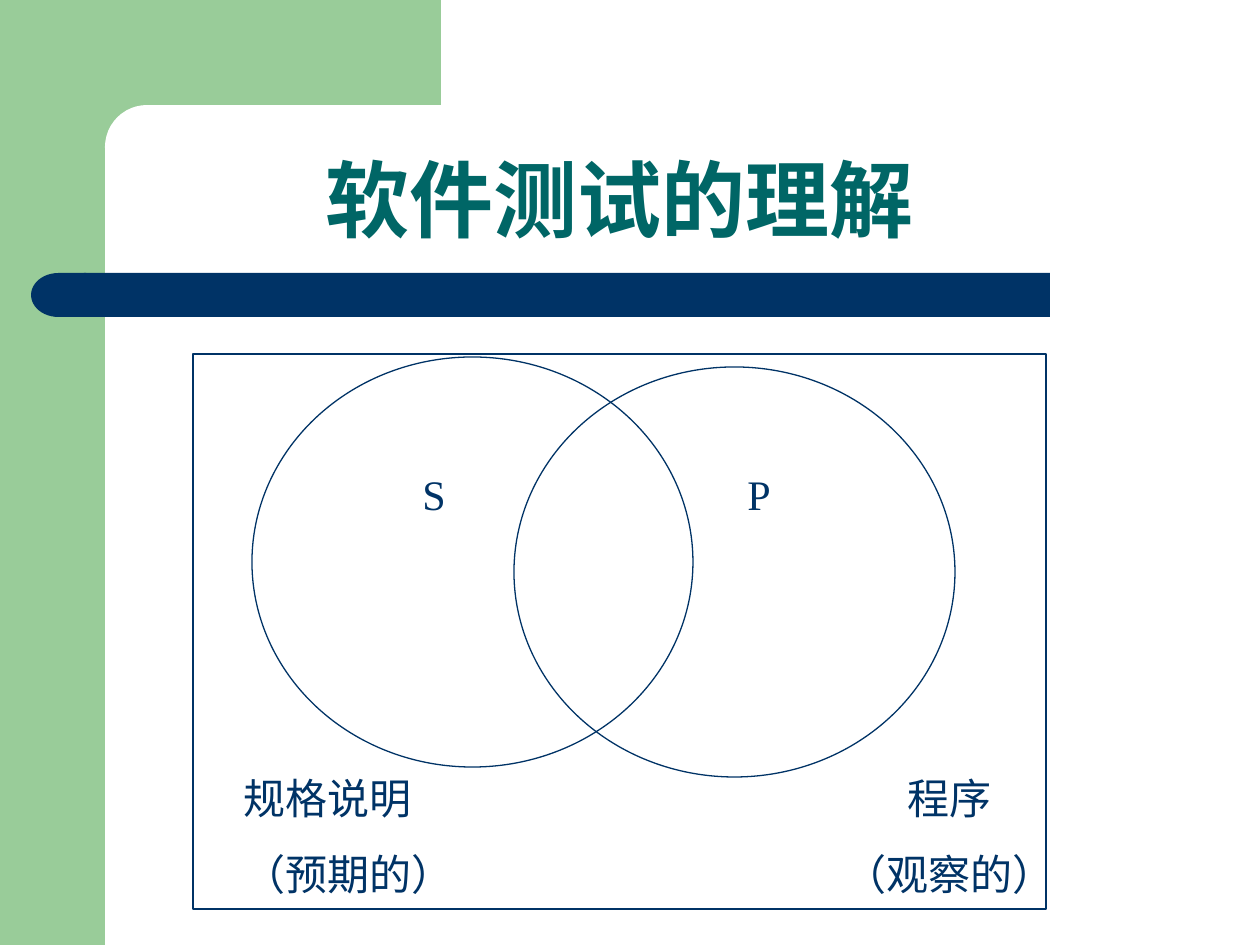
from pptx import Presentation
from pptx.dml.color import RGBColor
from pptx.enum.shapes import MSO_SHAPE
from pptx.enum.text import MSO_ANCHOR, MSO_AUTO_SIZE, PP_ALIGN
from pptx.util import Pt

PX = 914400 / 126
COLORS = {"green": "99CC99", "white": "FFFFFF", "navy": "003366", "teal": "006666"}

TITLE = ("软件测试的理解", (116, 147, 1008, 109))
BACKDROP = [
    (MSO_SHAPE.RECTANGLE, (0, 0, 105, 945), "green", None),
    (MSO_SHAPE.RECTANGLE, (95, 0, 346, 147), "green", None),
    (MSO_SHAPE.ROUNDED_RECTANGLE, (105, 105, 703, 84), "white", None),
    (MSO_SHAPE.RECTANGLE, (84, 273, 966, 44), "navy", None),
    (MSO_SHAPE.FLOWCHART_DELAY, (31, 273, 55, 44), "navy", None),
    (MSO_SHAPE.RECTANGLE, (193, 354, 853, 555), "white", "navy"),
]
CIRCLES = [
    (MSO_SHAPE.OVAL, (514, 367, 441, 410), None, "navy"),
    (MSO_SHAPE.OVAL, (252, 357, 441, 410), None, "navy"),
]
LABELS = [
    (["规格说明", "（预期的）"], (231, 766, 242, 140), PP_ALIGN.LEFT),
    (["程序", "（观察的）"], (829, 766, 242, 140), PP_ALIGN.CENTER),
    (["S"], (410, 462, 105, 63), PP_ALIGN.LEFT),
    (["P"], (735, 462, 105, 63), PP_ALIGN.LEFT),
]


def emu(lengths):
    return [round(length * PX) for length in lengths]


def color(name):
    return RGBColor.from_string(COLORS[name])


def add_outline(page, kind, place, fill, line):
    shape = page.shapes.add_shape(kind, *emu(place))
    shape.shadow.inherit = False
    if fill:
        shape.fill.solid()
        shape.fill.fore_color.rgb = color(fill)
    else:
        shape.fill.background()
    if line:
        shape.line.color.rgb = color(line)
        shape.line.width = Pt(0.75)
    else:
        shape.line.fill.background()
    if kind == MSO_SHAPE.ROUNDED_RECTANGLE:
        shape.adjustments[0] = 0.5
    if kind == MSO_SHAPE.FLOWCHART_DELAY:
        shape.rotation = 180


def add_span(para, text, font, size, name, bold=False):
    span = para.add_run()
    span.text = text
    span.font.name = font
    span.font.size = Pt(size)
    span.font.bold = bold
    span.font.color.rgb = color(name)


def place_title(page):
    text, place = TITLE
    title = page.shapes.title
    title.left, title.top, title.width, title.height = emu(place)
    frame = title.text_frame
    frame.word_wrap = True
    frame.auto_size = MSO_AUTO_SIZE.NONE
    frame.vertical_anchor = MSO_ANCHOR.BOTTOM
    para = frame.paragraphs[0]
    para.alignment = PP_ALIGN.CENTER
    para.line_spacing = 0.9
    add_span(para, text, "Arial", 48, "teal", True)
    title.element.getparent().append(title.element)


def add_label(page, lines, place, alignment):
    box = page.shapes.add_textbox(*emu(place))
    frame = box.text_frame
    frame.word_wrap = True
    frame.auto_size = MSO_AUTO_SIZE.SHAPE_TO_FIT_TEXT
    for index, line in enumerate(lines):
        para = frame.add_paragraph() if index else frame.paragraphs[0]
        para.alignment = alignment
        para.space_before = Pt(15)
        add_span(para, line, "Times New Roman", 24, "navy")


def main():
    deck = Presentation()
    deck.slide_width, deck.slide_height = emu((1260, 945))
    page = deck.slides.add_slide(deck.slide_layouts[5])
    for outline in BACKDROP:
        add_outline(page, *outline)
    place_title(page)
    for outline in CIRCLES:
        add_outline(page, *outline)
    for label in LABELS:
        add_label(page, *label)
    deck.save("out.pptx")


if __name__ == "__main__":
    main()
